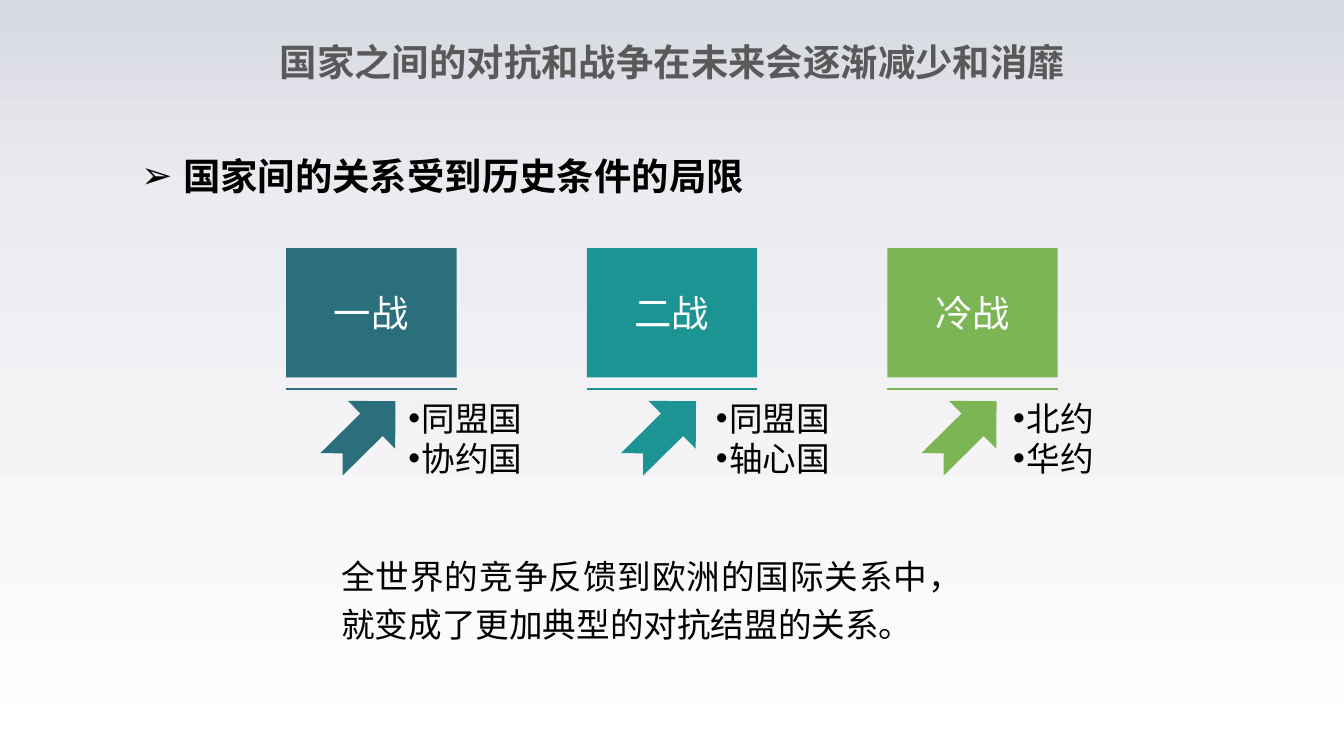
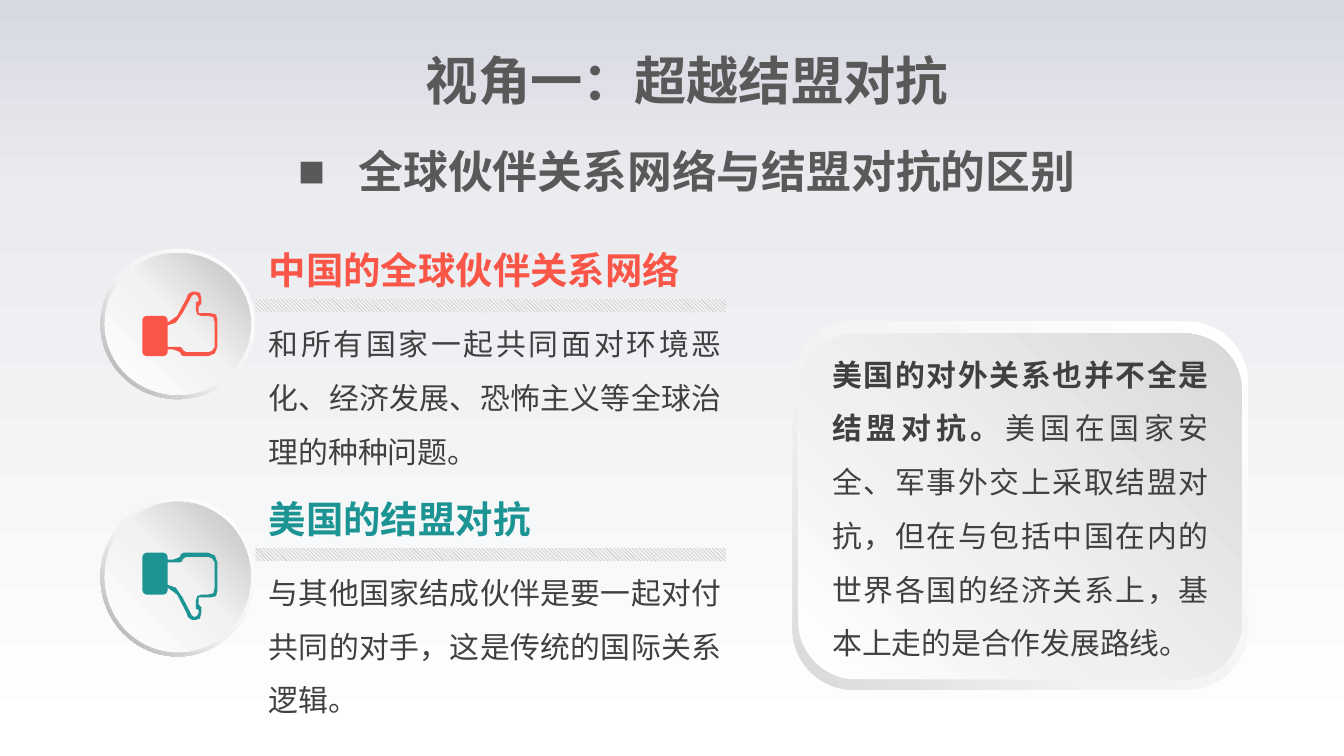
from lxml import etree
from pptx import Presentation
from pptx.dml.color import RGBColor
from pptx.enum.dml import MSO_PATTERN
from pptx.enum.shapes import MSO_CONNECTOR, MSO_SHAPE
from pptx.enum.text import MSO_ANCHOR, MSO_AUTO_SIZE, PP_ALIGN
from pptx.oxml.ns import qn
from pptx.util import Cm, Pt

RECTANGLE = MSO_SHAPE.RECTANGLE
ROUNDED = MSO_SHAPE.ROUNDED_RECTANGLE
ELLIPSE = MSO_SHAPE.OVAL
DONUT = MSO_SHAPE.DONUT
ARROW = MSO_SHAPE.NOTCHED_RIGHT_ARROW
STRAIGHT = MSO_CONNECTOR.STRAIGHT
HATCH = MSO_PATTERN.LIGHT_DOWNWARD_DIAGONAL
LEFT, CENTER, JUSTIFY = PP_ALIGN.LEFT, PP_ALIGN.CENTER, PP_ALIGN.JUSTIFY
TOP, MIDDLE = MSO_ANCHOR.TOP, MSO_ANCHOR.MIDDLE
GROW = MSO_AUTO_SIZE.SHAPE_TO_FIT_TEXT

CJK, LATIN = "Noto Sans CJK SC", "Arial"
GREY, DARK, BLACK, WHITE = "595959", "404040", "000000", "FEFFFF"
RED, TEAL = "F95647", "1C9494"
PALE, SHADE = "F2F2F2", "A6A6A6"
BACKDROP = [(0, "D7D9E1"), (26, "EBECF0"), (100, "FFFFFF")]
RING = [(0, "FFFFFF"), (55, PALE), (100, SHADE)]
DISC = [(0, "FFFFFF"), (51, PALE), (100, "BFBFBF")]
PANEL_EDGE = [(0, "FFFFFF"), (62, PALE), (100, "D9D9D9")]
PANEL_FACE = [(0, "FFFFFF"), (42, "F0F0F0"), (100, "D9D9D9")]

WAR_TITLE = "国家之间的对抗和战争在未来会逐渐减少和消靡"
WAR_POINT = "国家间的关系受到历史条件的局限"
WAR_SUMMARY = "全世界的竞争反馈到欧洲的国际关系中，就变成了更加典型的对抗结盟的关系。"
WARS = [
    ("一战", "2B6F7D", ["同盟国", "协约国"], 7.47, 2.69),
    ("二战", TEAL, ["同盟国", "轴心国"], 13.28, 2.69),
    ("冷战", "7CB554", ["北约", "华约"], 18.9, 2.06),
]
WAR_LEFT, WAR_STEP, WAR_WIDTH = 5.41, 5.68, 3.22

VIEW_TITLE = "视角一：超越结盟对抗"
VIEW_SUBTITLE = "全球伙伴关系网络与结盟对抗的区别"
VIEWS = [
    dict(heading="中国的全球伙伴关系网络", color=RED, top=4.55, width=8.36,
         ring=2.84, thumb_top=5.51, thumb_height=1.22, flip=False,
         body="和所有国家一起共同面对环境恶化、经济发展、恐怖主义等全球治理的种种问题。"),
    dict(heading="美国的结盟对抗", color=TEAL, top=9.25, width=5.51,
         ring=3, thumb_top=10.44, thumb_height=1.27, flip=True,
         body="与其他国家结成伙伴是要一起对付共同的对手，这是传统的国际关系逻辑。"),
]
PANEL_BOLD = "美国的对外关系也并不全是结盟对抗。"
PANEL_REST = ("美国在国家安全、军事外交上采取结盟对抗，但在与包括中国在内的世界各国的"
              "经济关系上，基本上走的是合作发展路线。")

THUMB_SIZE = (56, 48)
CURVE_STEPS = 2
THUMB_OUTER = [
    (51, 16), (44, 16), (42, 16, 42, 14), (42, 11), (44, 9, 44, 7), (44, 5),
    (44, 0, 40, 0), (37, 0), (34, 1, 33, 5), (27, 23, 19, 23), (19, 21),
    (19, 18, 16, 18), (3, 18), (0, 18, 0, 21), (0, 45), (0, 48, 3, 48),
    (16, 48), (19, 48, 19, 45), (19, 43), (23, 43), (27, 43, 28, 45),
    (29, 48, 31, 48), (49, 48), (56, 48, 56, 41), (56, 21), (56, 16, 51, 16),
]
THUMB_INNER = [
    (54, 41), (53, 45, 49, 45), (33, 45), (31, 45, 30, 43), (30, 41, 28, 41),
    (19, 41), (19, 25), (25, 26, 30, 16), (36, 5), (37, 2, 39, 2),
    (42, 2, 42, 5), (42, 7), (40, 8, 40, 11), (40, 14), (40, 18, 44, 18),
    (49, 18), (54, 18, 54, 23),
]


def rgb(value):
    """Turn a hex string into a colour."""
    return RGBColor.from_string(value)


def set_gradient(owner, fill, stops, angle):
    """Give a fill a linear gradient with a clockwise angle."""
    fill.gradient()
    fill.gradient_angle = 360 - angle
    stop_list = next(owner.element.iter(qn("a:gsLst")))
    stop_list.clear()
    for position, value in stops:
        stop = etree.SubElement(stop_list, qn("a:gs"), pos=str(position * 1000))
        etree.SubElement(stop, qn("a:srgbClr"), val=value)


def set_bullet(para, mark, indent):
    """Add a hanging bullet to a paragraph."""
    properties = para._p.get_or_add_pPr()
    properties.set("marL", str(Cm(indent)))
    properties.set("indent", str(-Cm(indent)))
    etree.SubElement(properties, qn("a:buFont"), typeface=LATIN)
    etree.SubElement(properties, qn("a:buChar"), char=mark)


def write(box, paragraphs, size, color, font=CJK, bold=False, align=LEFT,
          spacing=None, bullet=None, anchor=TOP, wrap=True, inset=None, grow=True):
    """Fill a shape with paragraphs, each a list of (text, bold) or a string."""
    frame = box.text_frame
    frame.word_wrap = wrap
    frame.vertical_anchor = anchor
    if grow:
        frame.auto_size = GROW
    if inset is not None:
        for side in ("left", "top", "right", "bottom"):
            setattr(frame, f"margin_{side}", Cm(inset))
    for index, content in enumerate(paragraphs):
        para = frame.add_paragraph() if index else frame.paragraphs[0]
        para._p.get_or_add_pPr().set("hangingPunct", "0")
        if bullet:
            set_bullet(para, *bullet)
        para.alignment = align
        if spacing:
            para.line_spacing = spacing
        spans = [(content, bold)] if isinstance(content, str) else content
        for text, heavy in spans:
            span = para.add_run()
            span.text = text
            for name, value in dict(name=font, size=Pt(size), bold=heavy).items():
                setattr(span.font, name, value)
            span.font.color.rgb = rgb(color)
            latin = span.font._element.find(qn("a:latin"))
            latin.addnext(etree.Element(qn("a:ea"), typeface=font))


def add_text(shapes, area, paragraphs, size, color, **formats):
    """Add a text box at an area in centimetres."""
    box = shapes.add_textbox(*map(Cm, area))
    write(box, paragraphs, size, color, **formats)


def paint(figure, color=None):
    """Remove shadow and outline, and fill with a plain colour if given."""
    figure.shadow.inherit = False
    figure.line.fill.background()
    if color:
        figure.fill.solid()
        figure.fill.fore_color.rgb = rgb(color)


def add_figure(shapes, kind, area, color=None, gradient=None):
    """Add a preset shape without outline or shadow."""
    figure = shapes.add_shape(kind, *map(Cm, area))
    paint(figure, color)
    if gradient:
        set_gradient(figure, figure.fill, *gradient)
    return figure


def trace(segments, flip):
    """Sample lines and quadratic curves as points."""
    points = []
    for *control, x, y in segments:
        if control:
            (x0, y0), (cx, cy) = points[-1], control
            for step in range(1, CURVE_STEPS + 1):
                t = step / CURVE_STEPS
                points.append(tuple((1 - t) ** 2 * a + 2 * t * (1 - t) * b + t * t * c
                                    for a, b, c in ((x0, cx, x), (y0, cy, y))))
        else:
            points.append((x, y))
    return [(x, THUMB_SIZE[1] - y if flip else y) for x, y in points]


def add_thumb(shapes, left, top, width, height, color, flip):
    """Draw the thumb outline, upright or flipped."""
    outer, inner = (trace(part, flip) for part in (THUMB_OUTER, THUMB_INNER))
    scale = (Cm(width) / THUMB_SIZE[0], Cm(height) / THUMB_SIZE[1])
    builder = shapes.build_freeform(*outer[0], scale=scale)
    builder.add_line_segments(outer[1:], close=True)
    builder.move_to(*inner[0])
    builder.add_line_segments(inner[1:], close=True)
    paint(builder.convert_to_shape(Cm(left), Cm(top)), color)


def add_page(deck, title, size, area):
    """Add a slide with its formatted title."""
    page = deck.slides.add_slide(deck.slide_layouts[5])
    box = page.shapes.title
    box.left, box.top, box.width, box.height = map(Cm, area)
    write(box, [title], size, GREY, bold=True, align=CENTER, anchor=MIDDLE, inset=0)
    return page


def add_war(shapes, left, name, color, sides, list_left, list_width):
    """Add one war with its rule, arrow and opposing sides."""
    rule = shapes.add_connector(STRAIGHT, Cm(left), Cm(7.34), Cm(left + WAR_WIDTH), Cm(7.34))
    rule.line.color.rgb = rgb(color)
    rule.line.width = Pt(1)
    etree.SubElement(rule.element.spPr, qn("a:effectLst"))
    arrow = add_figure(shapes, ARROW, (left + 0.61, 7.54, 1.7, 1.27), color)
    arrow.adjustments[0] = 0.47
    arrow.rotation = 315.4
    block = add_figure(shapes, RECTANGLE, (left, 4.69, WAR_WIDTH, 2.44), color)
    write(block, [name], 20, WHITE, align=CENTER, anchor=MIDDLE, grow=False)
    add_text(shapes, (list_left, 7.39, list_width, 1.8), sides, 18, BLACK,
             font=LATIN, bullet=("•", 0.25), wrap=False)


def add_view(shapes, view):
    """Add one view: heading, hatched band, disc with thumb and body."""
    top, ring = view["top"], view["ring"]
    add_text(shapes, (4.83, top, view["width"], 1.12), [view["heading"]], 20,
             view["color"], bold=True, wrap=False)
    band = add_figure(shapes, RECTANGLE, (4.83, top + 1.1, 8.89, 0.25))
    band.fill.patterned()
    band.fill.pattern = HATCH
    band.fill.fore_color.rgb = rgb(SHADE)
    band.fill.back_color.rgb = rgb(PALE)
    rim = add_figure(shapes, DONUT, (1.9, top + 0.15, 2.92, ring), gradient=(RING, 135))
    rim.adjustments[0] = 0.05
    add_figure(shapes, ELLIPSE, (1.98, top + 0.23, 2.76, ring - 0.16), gradient=(DISC, 315))
    add_thumb(shapes, 2.69, view["thumb_top"], 1.42, view["thumb_height"],
              view["color"], view["flip"])
    add_text(shapes, (4.83, top + 1.14, 9.07, 3.33), [view["body"]], 16, DARK,
             align=JUSTIFY, spacing=1.5)


def build_wars(deck):
    """Build the slide on historical alliances."""
    shapes = add_page(deck, WAR_TITLE, 20, (4.52, 0.74, 16.38, 0.86)).shapes
    add_text(shapes, (6.2, 10.22, 12.24, 2.11), [WAR_SUMMARY], 18, BLACK,
             align=JUSTIFY, spacing=1.2)
    add_text(shapes, (2.42, 2.34, 11.99, 1.55), [WAR_POINT], 20, BLACK, font=LATIN,
             bold=True, align=JUSTIFY, spacing=1.5, bullet=("➢", 0.79), wrap=False)
    for index, war in enumerate(WARS):
        add_war(shapes, WAR_LEFT + index * WAR_STEP, *war)


def build_views(deck):
    """Build the slide comparing partnership and alliance."""
    shapes = add_page(deck, VIEW_TITLE, 28, (4.75, 0.91, 16.46, 1.19)).shapes
    for view in VIEWS:
        add_view(shapes.add_group_shape().shapes, view)
    panel = shapes.add_group_shape().shapes
    add_figure(panel, ROUNDED, (14.98, 6.07, 8.61, 6.96), gradient=(PANEL_EDGE, 135))
    add_figure(panel, ROUNDED, (15.09, 6.3, 8.38, 6.53), gradient=(PANEL_FACE, 315))
    add_text(panel, (15.48, 6.27, 7.62, 6.4), [[(PANEL_BOLD, True), (PANEL_REST, False)]],
             16, DARK, align=JUSTIFY, spacing=1.5)
    add_text(shapes, (4.75, 2.72, 16.46, 1.02), [VIEW_SUBTITLE], 24, GREY, bold=True,
             align=CENTER, bullet=("■", 1.14), anchor=MIDDLE, inset=0)


def main():
    """Build and save the deck."""
    deck = Presentation()
    deck.slide_width, deck.slide_height = Cm(25.4), Cm(14.28)
    master = deck.slide_master
    set_gradient(master, master.background.fill, BACKDROP, 90)
    build_wars(deck)
    build_views(deck)
    deck.save("out.pptx")


if __name__ == "__main__":
    main()
